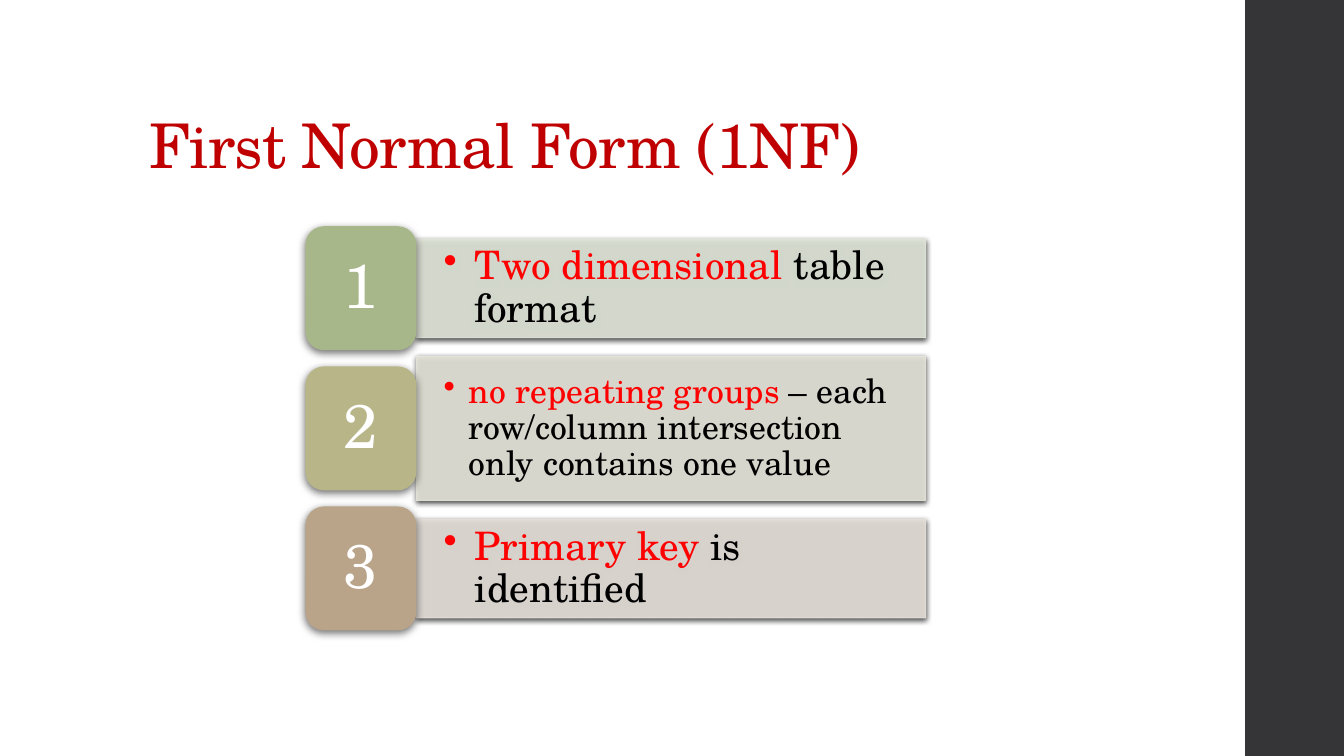
import pptx
import pptx.util
from lxml import etree
from pptx.dml.color import RGBColor
from pptx.enum.shapes import MSO_SHAPE
from pptx.enum.text import MSO_ANCHOR, PP_ALIGN
from pptx.oxml.ns import qn
from pptx.util import Inches, Pt

FONT = "TeX Gyre Schola"
WHITE = RGBColor(0xFF, 0xFF, 0xFF)
BLACK = RGBColor(0x00, 0x00, 0x00)
RED = RGBColor(0xFF, 0x00, 0x00)
TITLE_RED = RGBColor(0xC0, 0x00, 0x00)
SIDEBAR = RGBColor(0x35, 0x35, 0x37)
GREEN, PALE_GREEN = RGBColor(0xA7, 0xB7, 0x89), RGBColor(0xE1, 0xE6, 0xDA)
OLIVE, PALE_OLIVE = RGBColor(0xB8, 0xB6, 0x89), RGBColor(0xE6, 0xE5, 0xDA)
TAN, PALE_TAN = RGBColor(0xB9, 0xA4, 0x89), RGBColor(0xE6, 0xE0, 0xDA)

# Key phrase, remainder, text size, indent, panel height, badge and panel colours
RULES = [
    ("Two dimensional ", "table format", 28, 0.31, 0.98, GREEN, PALE_GREEN),
    ("no repeating groups ", "– each row/column intersection only contains one value",
     24, 0.25, 1.43, OLIVE, PALE_OLIVE),
    ("Primary key ", "is identified", 28, 0.31, 0.98, TAN, PALE_TAN),
]
FIRST_CENTER, ROW_STEP = 2.86, 1.39
BADGE_LEFT, BADGE_WIDTH, BADGE_HEIGHT = 3.03, 1.1, 1.23
PANEL_LEFT, PANEL_WIDTH = 4.13, 5.05


def add_box(slide, preset, left, top, width, height, fill):
    shape = slide.shapes.add_shape(
        preset, Inches(left), Inches(top), Inches(width), Inches(height))
    shape.shadow.inherit = False
    shape.fill.solid()
    shape.fill.fore_color.rgb = fill
    shape.line.fill.background()
    return shape


def set_alpha(color, percent):
    etree.SubElement(color, qn("a:alpha"), val=str(percent * 1000))


def add_shadow(shape, blur, distance, opacity):
    """Cast a soft black shadow straight down."""
    effects = shape._element.spPr.find(qn("a:effectLst"))
    shadow = etree.SubElement(
        effects, qn("a:outerShdw"), blurRad=str(Pt(blur)), dist=str(Pt(distance)),
        dir="5400000", algn="ctr", rotWithShape="0")
    set_alpha(etree.SubElement(shadow, qn("a:srgbClr"), val="000000"), opacity)


def set_frame(shape, anchor, side_inset, end_inset):
    frame = shape.text_frame
    frame.word_wrap = True
    frame.vertical_anchor = anchor
    frame.margin_left = frame.margin_right = Inches(side_inset)
    frame.margin_top = frame.margin_bottom = Inches(end_inset)
    return frame.paragraphs[0]


def style_paragraph(paragraph, size, alignment):
    paragraph.font.name = FONT
    paragraph.font.size = Pt(size)
    paragraph.alignment = alignment
    paragraph.line_spacing = 0.9


def add_run(paragraph, text, color):
    run = paragraph.add_run()
    run.text = text
    run.font.color.rgb = color
    return run


def add_bullet(paragraph, indent):
    properties = paragraph._p.get_or_add_pPr()
    properties.set("marL", str(Inches(indent)))
    properties.set("indent", str(-Inches(indent)))
    bullet = etree.Element(qn("a:buChar"), char="•")
    defaults = properties.find(qn("a:defRPr"))
    defaults.addprevious(bullet)


def add_title(slide, text):
    box = slide.shapes.add_textbox(Inches(1.38), Inches(0.4), Inches(10.6), Inches(1.45))
    paragraph = set_frame(box, MSO_ANCHOR.BOTTOM, 0.1, 0.05)
    style_paragraph(paragraph, 44, PP_ALIGN.LEFT)
    run = add_run(paragraph, text, TITLE_RED)
    run.font._element.set("spc", "-50")


def add_panel(slide, center, height, fill, key_phrase, remainder, size, indent):
    panel = add_box(slide, MSO_SHAPE.RECTANGLE, PANEL_LEFT, center - height / 2,
                    PANEL_WIDTH, height, fill)
    panel.line.color.rgb = fill
    panel.line.width = Pt(0.75)
    for color in panel._element.spPr.iter(qn("a:srgbClr")):
        set_alpha(color, 90)
    add_shadow(panel, 4, 1.2, 75)
    paragraph = set_frame(panel, MSO_ANCHOR.MIDDLE, 0.27, 0.14)
    style_paragraph(paragraph, size, PP_ALIGN.LEFT)
    add_bullet(paragraph, indent)
    add_run(paragraph, key_phrase, RED)
    add_run(paragraph, remainder, BLACK)


def add_badge(slide, center, fill, number):
    badge = add_box(slide, MSO_SHAPE.ROUNDED_RECTANGLE, BADGE_LEFT,
                    center - BADGE_HEIGHT / 2, BADGE_WIDTH, BADGE_HEIGHT, fill)
    add_shadow(badge, 6, 2, 55)
    paragraph = set_frame(badge, MSO_ANCHOR.MIDDLE, 0.18, 0.09)
    style_paragraph(paragraph, 44, PP_ALIGN.CENTER)
    add_run(paragraph, str(number), WHITE)


def main():
    presentation = pptx.Presentation()
    presentation.slide_width = Inches(13.33)
    presentation.slide_height = Inches(7.5)
    slide = presentation.slides.add_slide(presentation.slide_layouts[6])

    # Sidebar and title
    add_box(slide, MSO_SHAPE.RECTANGLE, 12.35, 0, 0.98, 7.5, SIDEBAR)
    add_title(slide, "First Normal Form (1NF)")

    # Numbered rules
    for row, (key_phrase, remainder, size, indent, height, dark, pale) in enumerate(RULES):
        center = FIRST_CENTER + row * ROW_STEP
        add_panel(slide, center, height, pale, key_phrase, remainder, size, indent)
        add_badge(slide, center, dark, row + 1)

    presentation.save("out.pptx")


if __name__ == "__main__":
    main()
